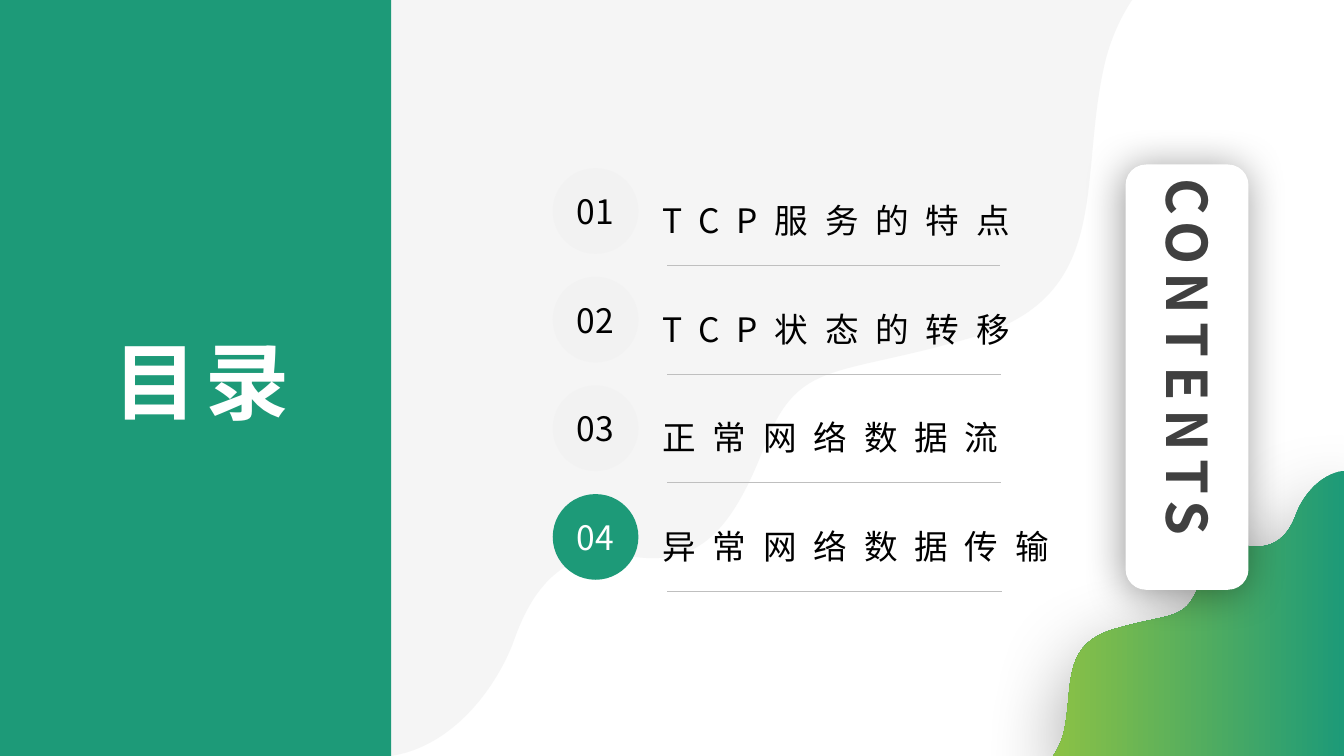
from pptx import Presentation
from pptx.dml.color import RGBColor
from pptx.enum.shapes import MSO_CONNECTOR as CONN, MSO_SHAPE as SHAPE
from pptx.enum.text import MSO_ANCHOR as ANCHOR, MSO_AUTO_SIZE as FIT, PP_ALIGN as ALIGN
from pptx.oxml.ns import qn
from pptx.util import Pt
from lxml.etree import SubElement

# Content
TITLE = "目录"
SIDE_LABEL = "CONTENTS"
ITEMS = ["TCP服务的特点", "TCP状态的转移", "正常网络数据流", "异常网络数据传输"]
CURRENT = 4

FONT = "Noto Sans CJK SC"
COLORS = {"teal": "1D9A78", "lime": "8BC145", "pale": "F2F2F2", "white": "FFFFFF",
          "black": "000000", "dark": "404040", "rule": "BFBFBF"}
W, H, PANEL_W = 960, 540, 279.4

# Wave edges: a start point, then two handles and an end point per curve
PALE_WAVE = [
    (PANEL_W, H), (328.3, 532.1), (357.8, 483.8), (367.2, 457.2),
    (381.6, 416.2), (406.1, 390.2), (450, 397.4),
    (493.2, 403.9), (519.8, 388.1), (546.5, 317.5),
    (571, 255.6), (596.2, 270), (696.2, 240.5),
    (797, 210.2), (769, 127.4), (789.8, 42.5),
    (794.2, 25.9), (800.6, 12.2), (808.6, 0)]
CORNER_WAVE = [
    (W, 336.2), (941, 339.1), (929.5, 357.1), (925.9, 367.2),
    (920.2, 383), (910.1, 392.4), (892.8, 390.2),
    (876.2, 387.4), (865.4, 393.8), (855.4, 420.5),
    (846, 443.5), (835.9, 437.8), (796.3, 449.3),
    (756.7, 460.8), (767.5, 491.8), (759.6, 524.2),
    (758.2, 529.9), (755.3, 535.7), (752.4, H)]

# Agenda layout
ROW_TOP, ROW_STEP, CIRCLE = 120.1, 77.6, 61.2
CIRCLE_X, ITEM_X, RULE_X, RULE_END = 394.8, 466.2, 476.6, 714.2

prs = Presentation()
prs.slide_width, prs.slide_height = Pt(W), Pt(H)
shapes = prs.slides.add_slide(prs.slide_layouts[6]).shapes


def rgb(name):
    return RGBColor.from_string(COLORS[name])


def style(sp, fill=None):
    sp.shadow.inherit = False
    sp.line.fill.background()
    if fill:
        sp.fill.solid()
        sp.fill.fore_color.rgb = rgb(fill)
    return sp


def add_block(kind, x, y, w, h, fill):
    return style(shapes.add_shape(kind, Pt(x), Pt(y), Pt(w), Pt(h)), fill)


def add_wave(edge, corner, fill=None):
    # Shape units are hundredths of a point
    points = [(round(x * 100), round(y * 100)) for x, y in edge + [corner]]
    fb = shapes.build_freeform(*points[0], scale=Pt(1) / 100)
    fb.add_line_segments(points[1:], close=True)
    sp = fb.convert_to_shape()
    # Join each two handles and end point into one curve
    lines = list(sp._element.iter(qn("a:lnTo")))[:len(edge) - 1]
    for i in range(0, len(lines), 3):
        first = lines[i]
        curve = SubElement(first.getparent(), qn("a:cubicBezTo"))
        first.addprevious(curve)
        for line in lines[i:i + 3]:
            curve.append(line[0])
            line.getparent().remove(line)
    return style(sp, fill)


def set_alpha(color, percent):
    SubElement(color, qn("a:alpha"), val=str(percent * 1000))


def add_shadow(sp, alpha, blur, dist, angle):
    effects = sp._element.spPr.find(qn("a:effectLst"))
    shadow = SubElement(effects, qn("a:outerShdw"), blurRad=str(Pt(blur)),
                        dist=str(Pt(dist)), dir=str(angle * 60000), rotWithShape="0")
    set_alpha(SubElement(shadow, qn("a:srgbClr"), val=COLORS["black"]), alpha)


def write(sp, text, size, color, spacing=0, bold=False, align=ALIGN.CENTER,
          line_spacing=None, **frame):
    tf = sp.text_frame
    for name, value in {"word_wrap": True, **frame}.items():
        setattr(tf, name, value)
    p = tf.paragraphs[0]
    p.alignment, p.line_spacing = align, line_spacing
    r = p.add_run()
    r.text = text
    for name, value in {"size": Pt(size), "bold": bold, "name": FONT}.items():
        setattr(r.font, name, value)
    r.font.color.rgb = rgb(color)
    rpr = r._r.get_or_add_rPr()
    if spacing:
        rpr.set("spc", str(spacing * 100))
    SubElement(rpr, qn("a:ea"), typeface=FONT)


def add_text(x, y, w, h, *args, **kwargs):
    sp = shapes.add_textbox(Pt(x), Pt(y), Pt(w), Pt(h))
    write(sp, *args, **kwargs)
    return sp


# Background waves and title panel
pale = add_wave(PALE_WAVE, (PANEL_W, 0), "pale")
set_alpha(pale._element.spPr.find(".//" + qn("a:srgbClr")), 75)

corner = add_wave(CORNER_WAVE, (W, H))
corner.fill.gradient()
corner.fill.gradient_angle = 180
for stop, name in zip(corner.fill.gradient_stops, ("teal", "lime")):
    stop.color.rgb = rgb(name)
add_shadow(corner, 40, 60, 20, 90)

add_block(SHAPE.RECTANGLE, 0, 0, PANEL_W, H, "teal")

# Side card with vertical label
card = add_block(SHAPE.ROUNDED_RECTANGLE, 804, 117.5, 87.8, 303.8, "white")
add_shadow(card, 40, 29, 3, 135)
label = add_text(813.6, 120.2, 63.4, 293, SIDE_LABEL, 40, "dark", spacing=6, bold=True,
                 auto_size=FIT.SHAPE_TO_FIT_TEXT)
label.text_frame._txBody.bodyPr.set("vert", "eaVert")

# Agenda rows
for i, item in enumerate(ITEMS):
    y = ROW_TOP + i * ROW_STEP
    active = i + 1 == CURRENT
    badge = add_block(SHAPE.OVAL, CIRCLE_X, y, CIRCLE, CIRCLE, "teal" if active else "pale")
    write(badge, f"{i + 1:02}", 24, "white" if active else "black",
          vertical_anchor=ANCHOR.MIDDLE)
    add_text(ITEM_X, y + 13.5, 313, 33.8, item, 24, "black", spacing=12,
             align=ALIGN.LEFT, line_spacing=1.2)
    rule = shapes.add_connector(CONN.STRAIGHT, Pt(RULE_X), Pt(y + 69.4),
                                Pt(RULE_END + i * 0.5), Pt(y + 69.4))
    rule.line.width = Pt(0.25)
    rule.line.color.rgb = rgb("rule")
    SubElement(rule._element.spPr, qn("a:effectLst"))

# Title
add_text(55.2, 234.7, 169.2, 72.7, TITLE, 60, "white", spacing=6, bold=True,
         vertical_anchor=ANCHOR.MIDDLE, auto_size=FIT.SHAPE_TO_FIT_TEXT,
         margin_left=Pt(8.64), margin_top=0, margin_right=0, margin_bottom=0)

prs.save("out.pptx")
